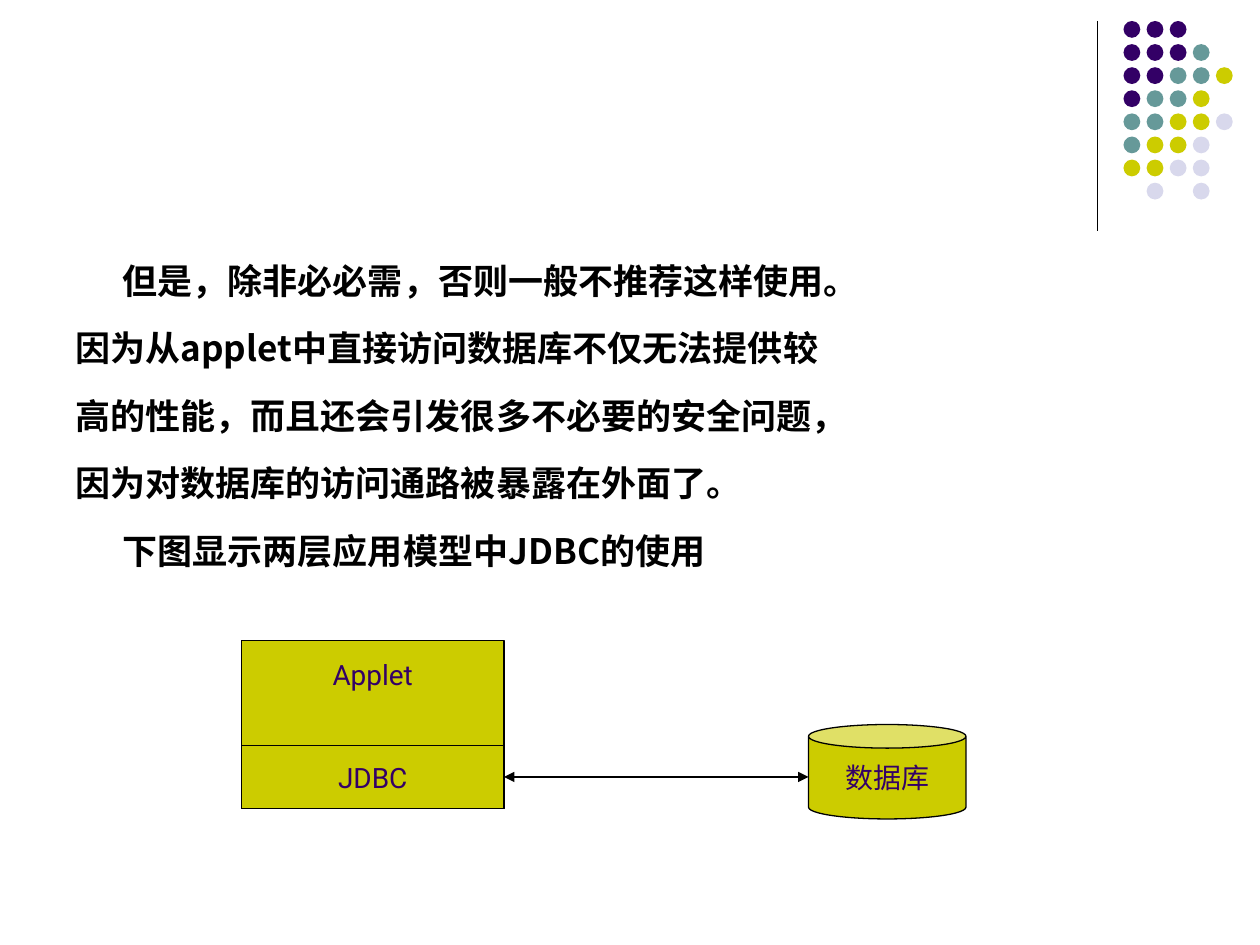
from dataclasses import dataclass

from lxml import etree
from pptx import Presentation
from pptx import util as u
from pptx.dml.color import RGBColor
from pptx.enum import shapes, text
from pptx.oxml import ns

SCALE = 7620  # EMU per px, 120 px to the inch


@dataclass(frozen=True)
class Theme:
    ink: str = "000000"
    plum: str = "330066"
    teal: str = "669999"
    lime: str = "CCCC00"
    mist: str = "D8D8EC"
    cjk: str = "Noto Sans CJK SC"
    latin: str = "Roboto"
    body: int = 20
    label: int = 16
    rule: float = 0.75


@dataclass(frozen=True)
class Node:
    kind: shapes.MSO_SHAPE
    box: tuple[int, int, int, int]
    label: str
    top: int = 0  # inset that hangs the label from the top; 0 centres it


@dataclass(frozen=True)
class Line:
    start: tuple[int, int]
    end: tuple[int, int]
    arrows: bool = False


THEME = Theme()
HUES = {"P": THEME.plum, "T": THEME.teal, "L": THEME.lime, "M": THEME.mist}
DOTS = ("PPP", "PPPT", "PPTTL", "PTTL", "TTLLM", "TLLM", "LLMM", " M M")
BODY = (
    ("但是，除非必必需，否则一般不推荐这样使用。", True),
    ("因为从applet中直接访问数据库不仅无法提供较", False),
    ("高的性能，而且还会引发很多不必要的安全问题，", False),
    ("因为对数据库的访问通路被暴露在外面了。", False),
    ("下图显示两层应用模型中JDBC的使用", True),
)
NODES = (
    Node(shapes.MSO_SHAPE.RECTANGLE, (230, 610, 250, 160), "Applet", 16),
    Node(shapes.MSO_SHAPE.RECTANGLE, (230, 710, 250, 60), "JDBC"),
    Node(shapes.MSO_SHAPE.CAN, (770, 690, 150, 90), "数据库"),
)
LINES = (
    Line((1045, 20), (1045, 220)),
    Line((480, 740), (770, 740), arrows=True),
)


def px(*vals: int) -> list[u.Emu]:
    return [u.Emu(val * SCALE) for val in vals]


def rgb(hue: str) -> RGBColor:
    return RGBColor.from_string(hue)


def style(para, font: str, size: int, hue: str, bold: bool = False) -> None:
    """Format a paragraph and give its runs the East Asian font."""
    para.font.name, para.font.size = font, u.Pt(size)
    para.font.bold = bold
    para.font.color.rgb = rgb(hue)
    for run in para.runs:
        east = etree.SubElement(run.font._element, ns.qn("a:ea"))
        east.set("typeface", THEME.cjk)


def draw_dots(slide, left: int, top: int, step: int, size: int) -> None:
    group = slide.shapes.add_group_shape()
    for row, keys in enumerate(DOTS):
        for col, key in enumerate(keys):
            if key not in HUES:
                continue
            spot = px(left + col * step, top + row * step, size, size)
            dot = group.shapes.add_shape(shapes.MSO_SHAPE.OVAL, *spot)
            dot.shadow.inherit = False
            dot.fill.solid()
            dot.fill.fore_color.rgb = rgb(HUES[key])
            dot.line.fill.background()


def draw_body(slide) -> None:
    frame = slide.shapes.add_textbox(*px(60, 225, 1080, 578)).text_frame
    frame.word_wrap = True
    for num, (words, indent) in enumerate(BODY):
        para = frame.paragraphs[0] if num == 0 else frame.add_paragraph()
        para.text = words
        para.alignment = text.PP_ALIGN.JUSTIFY
        para.line_spacing, para.space_before = 1.4, u.Pt(5)
        if indent:
            para._p.get_or_add_pPr().set("indent", str(px(45)[0]))
        style(para, THEME.cjk, THEME.body, THEME.ink, bold=True)


def draw_node(slide, node: Node) -> None:
    shape = slide.shapes.add_shape(node.kind, *px(*node.box))
    shape.shadow.inherit = False
    shape.fill.solid()
    shape.fill.fore_color.rgb = rgb(THEME.lime)
    shape.line.color.rgb = rgb(THEME.ink)
    shape.line.width = u.Pt(THEME.rule)
    frame = shape.text_frame
    frame.word_wrap = False
    frame.vertical_anchor = text.MSO_ANCHOR.MIDDLE
    if node.top:
        frame.vertical_anchor = text.MSO_ANCHOR.TOP
        frame.margin_top = px(node.top)[0]
    para = frame.paragraphs[0]
    para.text = node.label
    para.alignment = text.PP_ALIGN.CENTER
    style(para, THEME.latin, THEME.label, THEME.plum)


def draw_line(slide, line: Line) -> None:
    link = slide.shapes.add_connector(
        shapes.MSO_CONNECTOR.STRAIGHT, *px(*line.start, *line.end))
    link.line.color.rgb = rgb(THEME.ink)
    link.line.width = u.Pt(THEME.rule)
    props = link._element.spPr
    if line.arrows:
        for end in ("a:headEnd", "a:tailEnd"):
            tip = etree.SubElement(props.find(ns.qn("a:ln")), ns.qn(end))
            tip.set("type", "triangle")
    etree.SubElement(props, ns.qn("a:effectLst"))


def main() -> None:
    deck = Presentation()
    deck.slide_width, deck.slide_height = px(1200, 900)
    slide = deck.slides.add_slide(deck.slide_layouts[6])
    draw_dots(slide, left=1070, top=20, step=22, size=16)
    draw_body(slide)
    for node in NODES:
        draw_node(slide, node)
    for line in LINES:
        draw_line(slide, line)
    deck.save("out.pptx")


if __name__ == "__main__":
    main()
